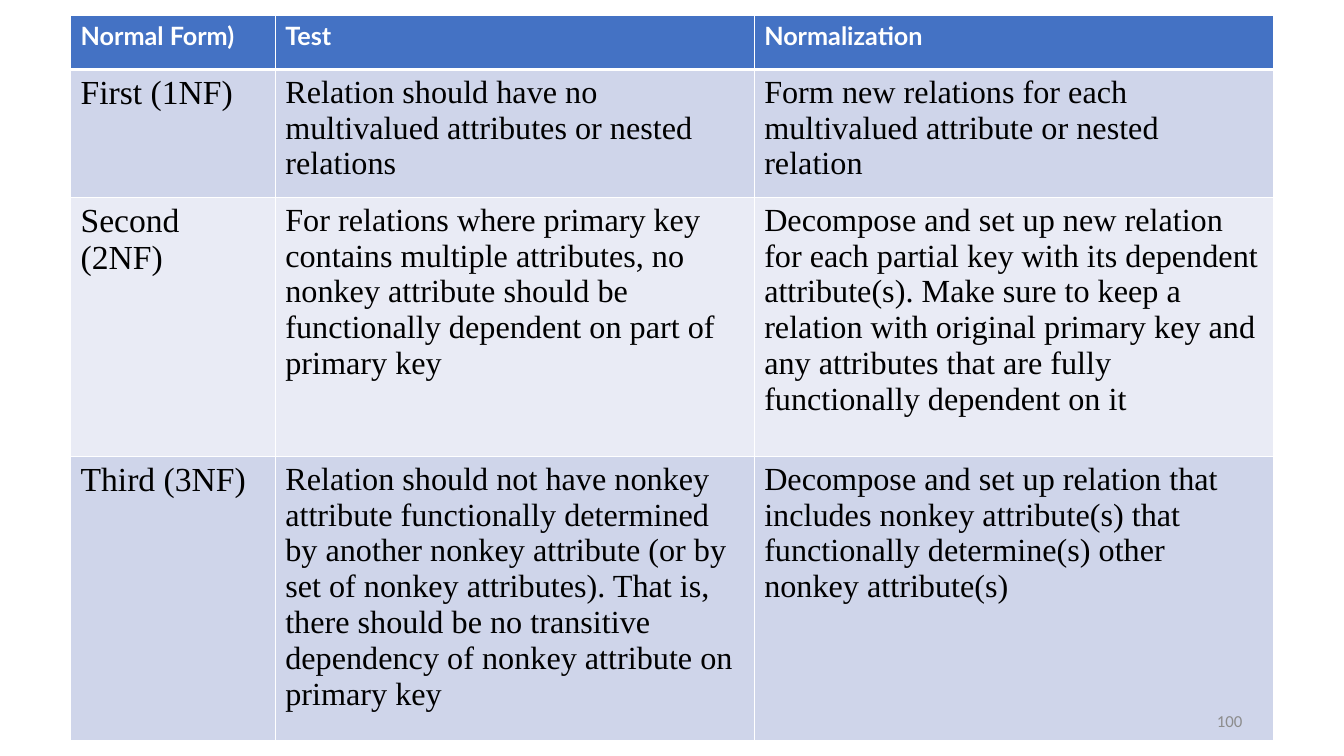
from lxml.etree import SubElement
from pptx import Presentation
from pptx.dml.color import RGBColor
from pptx.enum.text import MSO_ANCHOR, PP_ALIGN
from pptx.oxml.ns import qn
from pptx.util import Inches, Pt

WHITE = RGBColor(0xFF, 0xFF, 0xFF)
BLACK = RGBColor(0x00, 0x00, 0x00)
GREY = RGBColor(0x8C, 0x8C, 0x8C)
HEADER_BLUE = RGBColor(0x44, 0x72, 0xC4)
BAND_DARK = RGBColor(0xCF, 0xD5, 0xEA)
BAND_LIGHT = RGBColor(0xE9, 0xEB, 0xF5)

COLUMN_WIDTHS = [2.03, 4.75, 5.15]
ROW_HEIGHTS = [0.54, 1.27, 2.57, 2.82]
NORMAL_FORMS = [
    ["Normal Form)", "Test", "Normalization"],
    ["First (1NF)",
     "Relation should have no multivalued attributes or nested relations",
     "Form new relations for each multivalued attribute or nested relation"],
    ["Second (2NF)",
     "For relations where primary key\ncontains multiple attributes, no nonkey "
     "attribute should be functionally dependent on part of primary key",
     "Decompose and set up new relation for each partial key with its dependent "
     "attribute(s). Make sure to keep a relation with original primary key and any "
     "attributes that are fully functionally dependent on it"],
    ["Third (3NF)",
     "Relation should not have nonkey attribute functionally determined by another "
     "nonkey attribute (or by set of nonkey attributes). That is, there should be no "
     "transitive dependency of nonkey attribute on primary key",
     "Decompose and set up relation that includes nonkey attribute(s) that "
     "functionally determine(s) other nonkey attribute(s)"],
]


class SlideBuilder:
    """Draws styled tables and text on one slide."""

    def __init__(self, slide):
        self.slide = slide
        self.header_font = "Lato"
        self.body_font = "Times New Roman"
        self.number_font = "Calibri"

    def set_text(self, frame, text, font_name, size, color, bold=False, align=PP_ALIGN.LEFT):
        frame.text = text
        for paragraph in frame.paragraphs:
            paragraph.alignment = align
            paragraph.font.name = font_name
            paragraph.font.size = Pt(size)
            paragraph.font.color.rgb = color
            paragraph.font.bold = bold

    def border(self, cell, bottom_width):
        properties = cell._tc.get_or_add_tcPr()
        widths = {"a:lnL": 1, "a:lnR": 1, "a:lnT": 1, "a:lnB": bottom_width}
        for position, (side, width) in enumerate(widths.items()):
            line = SubElement(properties, qn(side), w=str(Pt(width)))
            fill = SubElement(line, qn("a:solidFill"))
            SubElement(fill, qn("a:srgbClr"), val=str(WHITE))
            properties.insert(position, line)

    def table(self, left, top, widths, heights, rows):
        table = self.slide.shapes.add_table(
            len(rows), len(widths), Inches(left), Inches(top),
            Inches(sum(widths)), Inches(sum(heights))).table
        for column, width in zip(table.columns, widths):
            column.width = Inches(width)
        for row, height in zip(table.rows, heights):
            row.height = Inches(height)
        for row_index, texts in enumerate(rows):
            is_header = row_index == 0
            band = BAND_DARK if row_index % 2 else BAND_LIGHT
            for column_index, text in enumerate(texts):
                cell = table.cell(row_index, column_index)
                cell.fill.solid()
                cell.fill.fore_color.rgb = HEADER_BLUE if is_header else band
                self.border(cell, 3 if is_header else 1)
                if is_header:
                    self.set_text(cell.text_frame, text, self.header_font, 18, WHITE, True)
                else:
                    size = 23 if column_index else 24
                    self.set_text(cell.text_frame, text, self.body_font, size, BLACK)

    def page_number(self, left, top, width, height, number):
        box = self.slide.shapes.add_textbox(
            Inches(left), Inches(top), Inches(width), Inches(height))
        frame = box.text_frame
        frame.word_wrap = True
        frame.vertical_anchor = MSO_ANCHOR.MIDDLE
        self.set_text(frame, number, self.number_font, 12, GREY, align=PP_ALIGN.RIGHT)


def main():
    deck = Presentation()
    deck.slide_width = Inches(13.33)
    deck.slide_height = Inches(7.5)
    builder = SlideBuilder(deck.slides.add_slide(deck.slide_layouts[6]))
    builder.table(0.7, 0.15, COLUMN_WIDTHS, ROW_HEIGHTS, NORMAL_FORMS)
    builder.page_number(9.42, 6.95, 3, 0.4, "100")
    deck.save("out.pptx")


if __name__ == "__main__":
    main()
